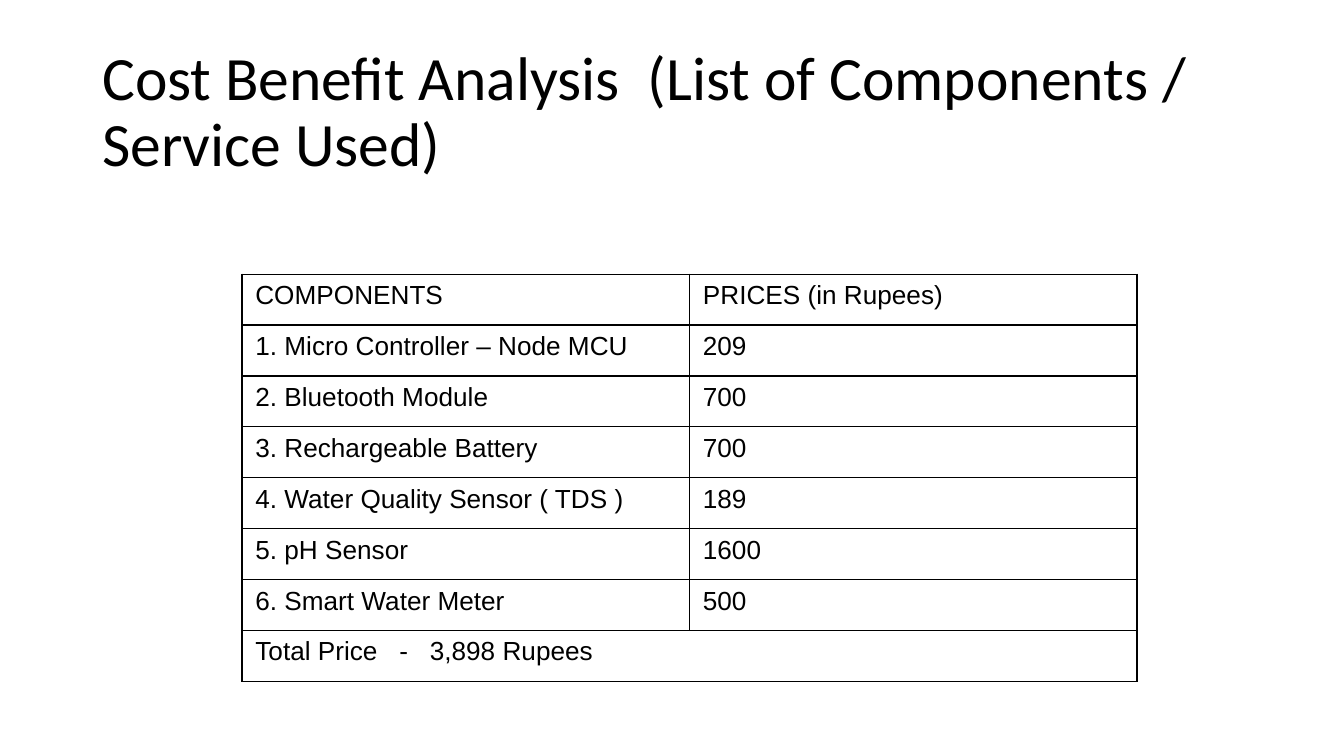
from dataclasses import dataclass

from lxml.etree import SubElement as SubEl
from pptx import Presentation
from pptx.dml.color import RGBColor as RGB
from pptx.enum.text import MSO_ANCHOR as Anchor
from pptx.oxml.ns import qn
from pptx.util import Inches, Pt


@dataclass(frozen=True)
class Theme:
    ink: str = "000000"
    head: str = "Calibri"
    body: str = "Arial"
    big: int = 33
    small: int = 14
    rule: float = 0.75


THEME = Theme()
ROWS = [
    ("COMPONENTS", "PRICES (in Rupees)"),
    ("1. Micro Controller – Node MCU", "209"),
    ("2. Bluetooth Module", "700"),
    ("3. Rechargeable Battery", "700"),
    ("4. Water Quality Sensor ( TDS )", "189"),
    ("5. pH Sensor", "1600"),
    ("6. Smart Water Meter", "500"),
    ("Total Price   -   3,898 Rupees",),
]


def write(frame, text, font=THEME.body, size=THEME.small, space=1.0):
    par = frame.paragraphs[0]
    par.line_spacing = space
    run = par.add_run()
    run.text = text
    run.font.name = font
    run.font.size = Pt(size)
    run.font.color.rgb = RGB.from_string(THEME.ink)


def add_title(slide, text):
    box = slide.shapes.add_textbox(Inches(0.69), Inches(0.3), Inches(8.62), Inches(1.09))
    frame = box.text_frame
    frame.word_wrap = True
    frame.vertical_anchor = Anchor.MIDDLE
    frame.margin_left = frame.margin_right = Inches(0.07)
    frame.margin_top = frame.margin_bottom = Inches(0.04)
    write(frame, text, font=THEME.head, size=THEME.big, space=0.9)


def style_cell(cell):
    # Borders must come before the fill
    props = cell._tc.get_or_add_tcPr()
    for side in ("lnL", "lnR", "lnT", "lnB"):
        line = SubEl(props, qn(f"a:{side}"), w=str(Pt(THEME.rule)))
        fill = SubEl(line, qn("a:solidFill"))
        SubEl(fill, qn("a:srgbClr"), val=THEME.ink)
    cell.fill.background()


def add_costs(slide, rows):
    cols = 2
    frame = slide.shapes.add_table(
        len(rows), cols, Inches(1.8), Inches(2.04), Inches(6.66), Inches(3.03))
    table = frame.table
    table.first_row = table.horz_banding = False
    for cell in table.iter_cells():
        style_cell(cell)
    for r, texts in enumerate(rows):
        for c, text in enumerate(texts):
            write(table.cell(r, c).text_frame, text)
        # A row with one text spans the table
        if len(texts) < cols:
            table.cell(r, 0).merge(table.cell(r, cols - 1))


def main():
    # Widescreen page, 16 to 9
    deck = Presentation()
    deck.slide_width = Inches(10)
    deck.slide_height = Inches(10 * 9 / 16)
    slide = deck.slides.add_slide(deck.slide_layouts[6])
    add_title(slide, "Cost Benefit Analysis  (List of Components / Service Used)")
    add_costs(slide, ROWS)
    deck.save("out.pptx")


if __name__ == "__main__":
    main()
